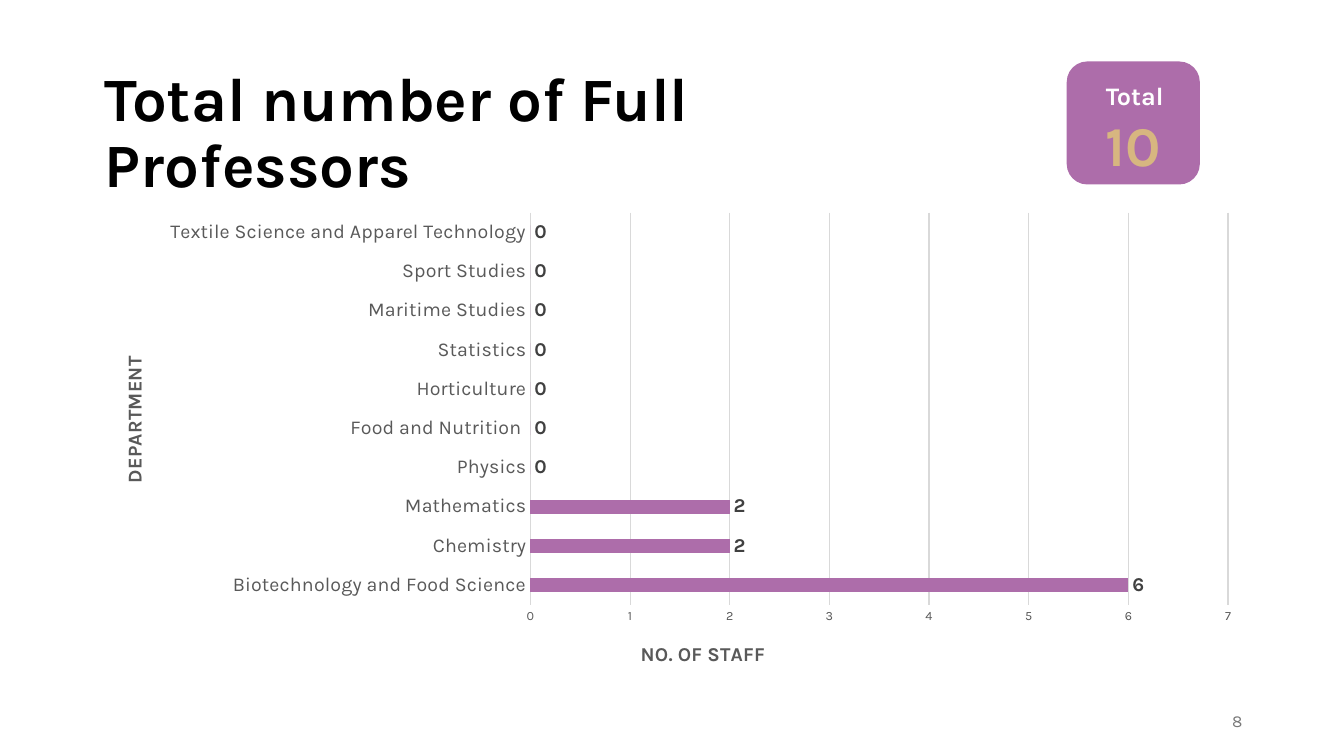
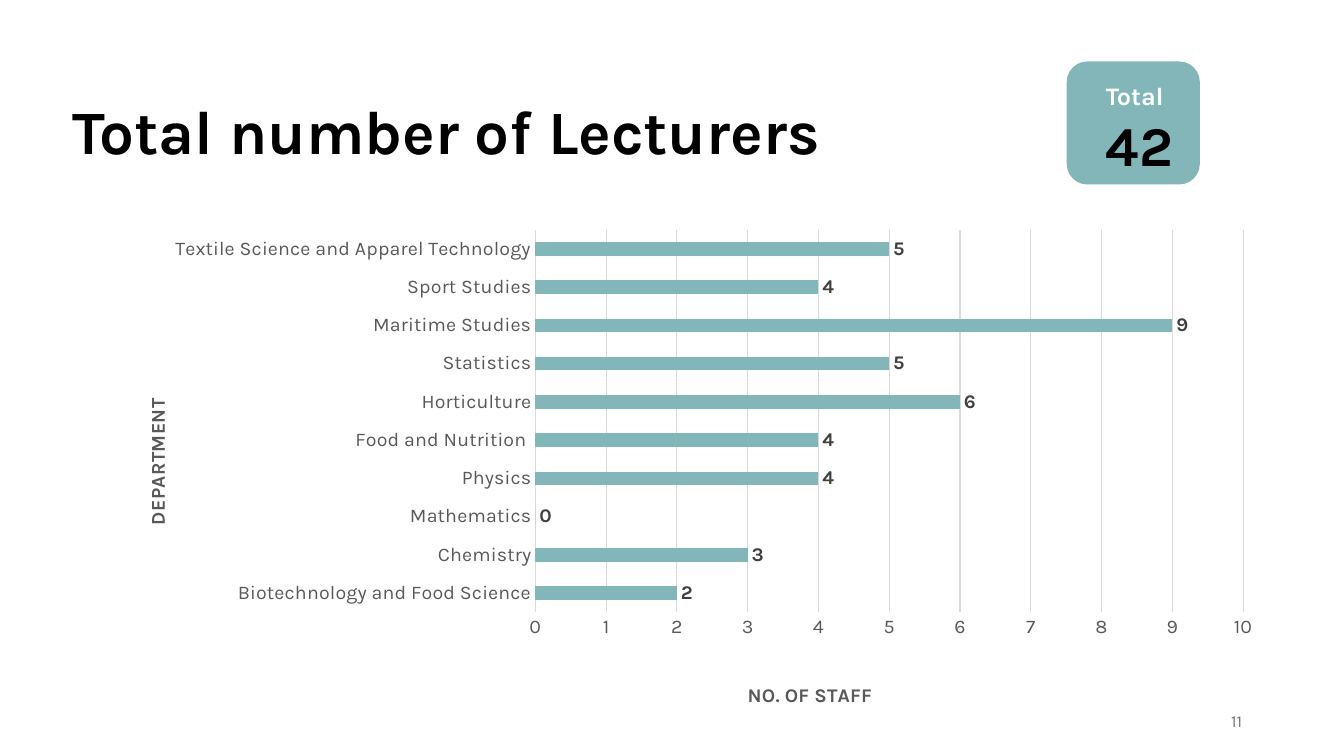
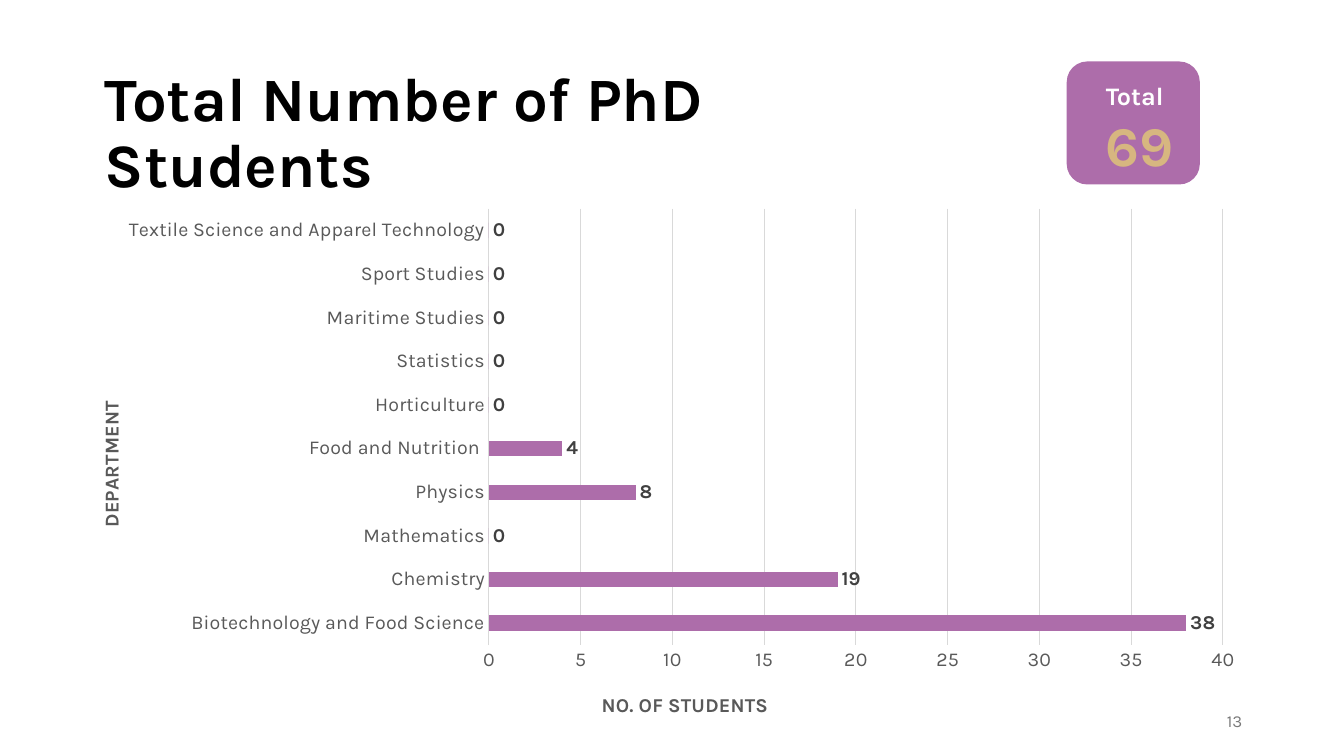
import pptx
import pptx.chart.data
import pptx.dml.color
import pptx.enum.chart
import pptx.enum.shapes
import pptx.enum.text
import pptx.oxml
import pptx.oxml.ns
import pptx.util
from dataclasses import dataclass

Inches = pptx.util.Inches
Pt = pptx.util.Pt
Chart = pptx.enum.chart
Text = pptx.enum.text


@dataclass(frozen=True)
class Theme:
    font: str = "Karla"
    black: str = "000000"
    white: str = "FFFFFF"
    plum: str = "AD6DAA"
    teal: str = "83B6B9"
    gold: str = "D7B680"
    label: str = "404040"
    axis: str = "595959"
    grid: str = "D9D9D9"
    page: str = "797979"
    head: int = 44
    total: int = 40
    badge: int = 18
    body: int = 14
    foot: int = 12
    rule: float = 0.75
    gap: int = 182


theme = Theme()
rgb = pptx.dml.color.RGBColor.from_string


def write(para, text, size=theme.body, color=theme.black, bold=False,
          align=Text.PP_ALIGN.LEFT, lines=None):
    para.alignment = align
    para.line_spacing = lines
    run = para.add_run()
    run.text = text
    font = run.font
    font.name, font.size, font.bold = theme.font, Pt(size), bold
    font.color.rgb = rgb(color)


def place(node, index, frame, box):
    """Pin a chart part to a slide position given in inches."""
    for old in node.findall(pptx.oxml.ns.qn("c:layout")):
        node.remove(old)
    x, y, w, h = frame
    parts = [("x", (box[0] - x) / w), ("y", (box[1] - y) / h)]
    target = ""
    if len(box) == 4:
        target = '<c:layoutTarget val="inner"/>'
        parts += [("w", box[2] / w), ("h", box[3] / h)]
    modes = '<c:xMode val="edge"/><c:yMode val="edge"/>'
    sizes = "".join(f'<c:{key} val="{val:.4f}"/>' for key, val in parts)
    node.insert(index, pptx.oxml.parse_xml(
        f'<c:layout {pptx.oxml.ns.nsdecls("c")}><c:manualLayout>'
        f'{target}{modes}{sizes}</c:manualLayout></c:layout>'))


depts = ["Biotechnology and Food Science", "Chemistry", "Mathematics",
         "Physics", "Food and Nutrition ", "Horticulture", "Statistics",
         "Maritime Studies", "Sport Studies",
         "Textile Science and Apparel Technology"]

# Positions in inches: frame and plot are left, top, width, height
pages = [
    dict(title="Total number of Full Professors", left=0.94, width=8.61,
         page=8, color=theme.plum, accent=theme.gold,
         vals=[6, 2, 2, 0, 0, 0, 0, 0, 0, 0], top=7, step=1, tick=9,
         unit="NO. OF STAFF", frame=(0.94, 2.02, 11.5, 4.76),
         plot=(5.26, 2.11, 6.92, 3.89), side=(1.17, 3.5), base=(6.32, 6.33)),
    dict(title="Total number of Lecturers", left=0.62, width=9.78,
         page=11, color=theme.teal, accent=theme.black,
         vals=[2, 3, 0, 4, 4, 6, 5, 9, 4, 5], top=10, step=1, tick=14,
         unit="NO. OF STAFF", frame=(0.99, 2.19, 11.68, 4.89),
         plot=(5.31, 2.28, 7.02, 3.84), side=(1.4, 3.95), base=(7.38, 6.79)),
    dict(title="Total Number of PhD Students", left=0.94, width=8.61,
         page=13, color=theme.plum, accent=theme.gold,
         vals=[38, 19, 0, 8, 4, 0, 0, 0, 0, 0], top=40, step=5, tick=14,
         unit="NO. OF STUDENTS", frame=(0.52, 1.97, 11.97, 5.32),
         plot=(4.85, 2.07, 7.28, 4.33), side=(0.94, 3.94), base=(5.93, 6.83)),
]

deck = pptx.Presentation()
deck.slide_width, deck.slide_height = Inches(13.33), Inches(7.5)

for page in pages:
    slide = deck.slides.add_slide(deck.slide_layouts.get_by_name("Title Only"))
    shapes = slide.shapes

    # Bar chart
    data = pptx.chart.data.CategoryChartData()
    data.categories = depts
    data.add_series("Series 1", page["vals"])
    frame = page["frame"]
    chart = shapes.add_chart(Chart.XL_CHART_TYPE.BAR_CLUSTERED,
                             *map(Inches, frame), data).chart
    chart.has_title = chart.has_legend = False
    chart.font.name, chart.font.size = theme.font, Pt(theme.body)
    plot = chart.plots[0]
    plot.gap_width, plot.vary_by_categories = theme.gap, False
    fill = plot.series[0].format.fill
    fill.solid()
    fill.fore_color.rgb = rgb(page["color"])

    # Value labels
    plot.has_data_labels = True
    labels = plot.data_labels
    labels.show_value = True
    labels.position = Chart.XL_LABEL_POSITION.OUTSIDE_END
    font = labels.font
    font.name, font.size, font.bold = theme.font, Pt(theme.body), True
    font.color.rgb = rgb(theme.label)

    # Axes
    cat, val = chart.category_axis, chart.value_axis
    val.minimum_scale, val.maximum_scale = 0, page["top"]
    val.major_unit = page["step"]
    val.format.line.fill.background()
    val.has_major_gridlines = True
    for line in (cat.format.line, val.major_gridlines.format.line):
        line.color.rgb = rgb(theme.grid)
        line.width = Pt(theme.rule)
    for axis, name, size, spot, turn in (
            (cat, "DEPARTMENT", theme.body, page["side"], "-5400000"),
            (val, page["unit"], page["tick"], page["base"], "0")):
        axis.major_tick_mark = axis.minor_tick_mark = Chart.XL_TICK_MARK.NONE
        font = axis.tick_labels.font
        font.name, font.size = theme.font, Pt(size)
        font.color.rgb = rgb(theme.axis)
        write(axis.axis_title.text_frame.paragraphs[0], name,
              color=theme.axis, bold=True, align=Text.PP_ALIGN.CENTER)
        node = axis.axis_title._element
        node.xpath(".//a:bodyPr")[0].set("rot", turn)
        place(node, 1, frame, spot)
    place(chart._chartSpace.xpath(".//c:plotArea")[0], 0, frame, page["plot"])

    # Total badge
    badge = shapes.add_shape(
        pptx.enum.shapes.MSO_SHAPE.ROUNDED_RECTANGLE,
        Inches(10.58), Inches(0.61), Inches(1.32), Inches(1.22))
    badge.shadow.inherit = False
    badge.fill.solid()
    badge.fill.fore_color.rgb = rgb(page["color"])
    badge.line.fill.background()
    text = shapes.add_textbox(Inches(10.87), Inches(0.75), Inches(1.2),
                              Inches(1.08)).text_frame
    text.word_wrap = True
    write(text.paragraphs[0], "Total", size=theme.badge, color=theme.white,
          bold=True)
    write(text.add_paragraph(), str(sum(page["vals"])), size=theme.total,
          color=page["accent"], bold=True)

    # Title
    title = shapes.title
    title.left, title.top = Inches(page["left"]), Inches(0.61)
    title.width, title.height = Inches(page["width"]), Inches(1.45)
    text = title.text_frame
    text.auto_size = Text.MSO_AUTO_SIZE.NONE
    text.vertical_anchor = Text.MSO_ANCHOR.MIDDLE
    write(text.paragraphs[0], page["title"], size=theme.head, bold=True,
          lines=0.9)

    # Page number
    text = shapes.add_textbox(Inches(9.42), Inches(6.95), Inches(3),
                              Inches(0.4)).text_frame
    text.word_wrap = True
    text.vertical_anchor = Text.MSO_ANCHOR.MIDDLE
    write(text.paragraphs[0], str(page["page"]), size=theme.foot,
          color=theme.page, align=Text.PP_ALIGN.RIGHT)

deck.save("out.pptx")
